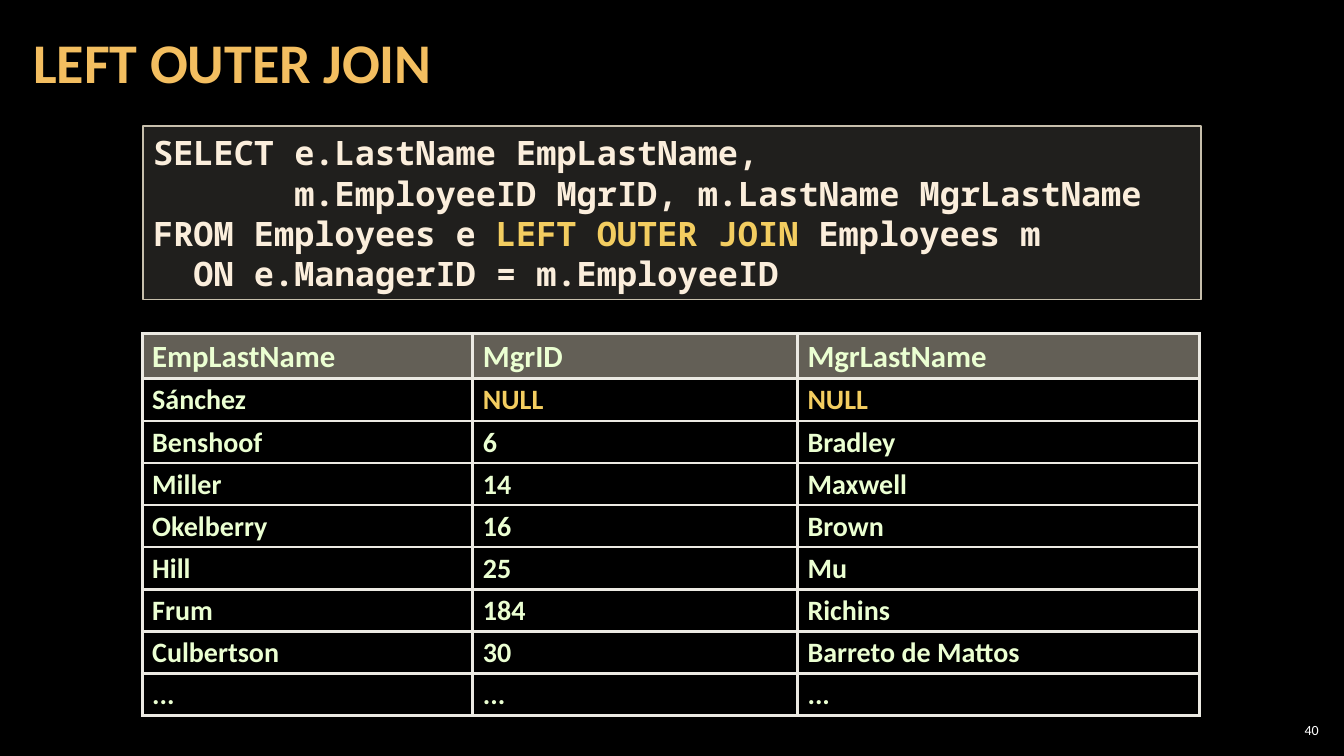
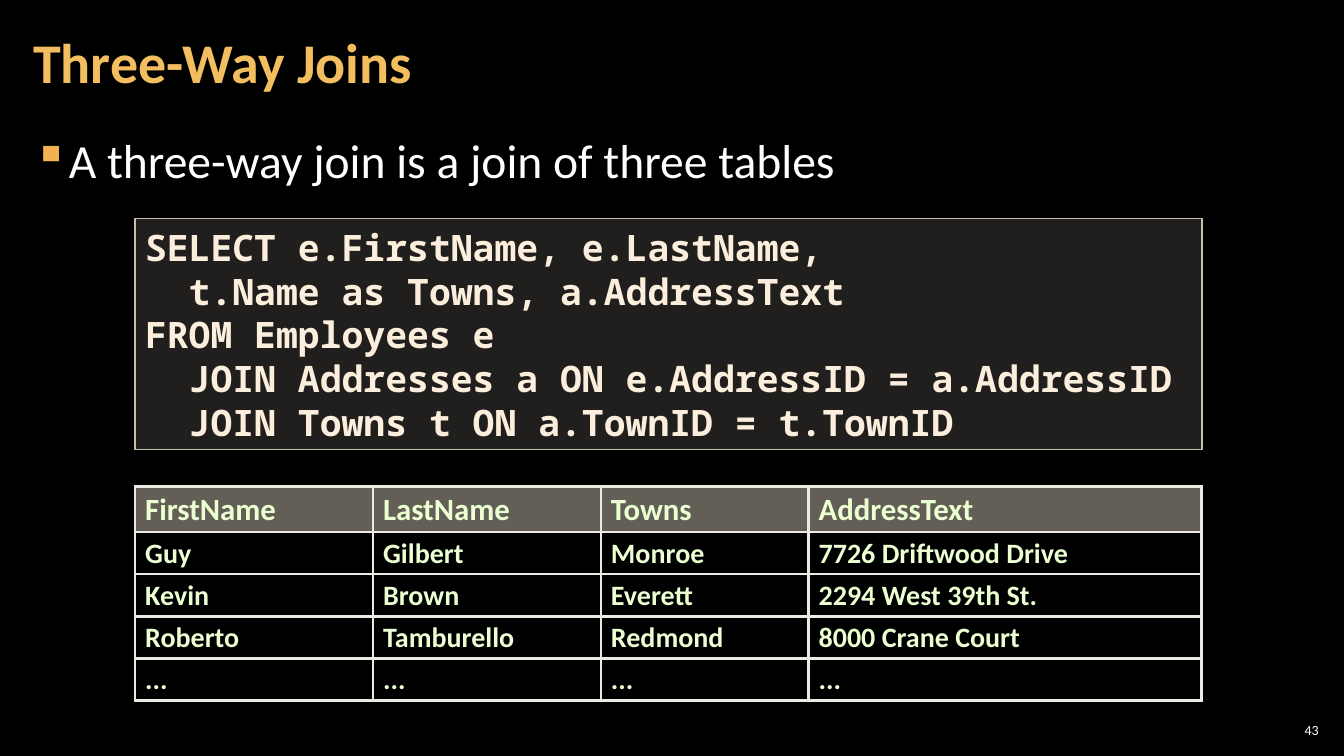
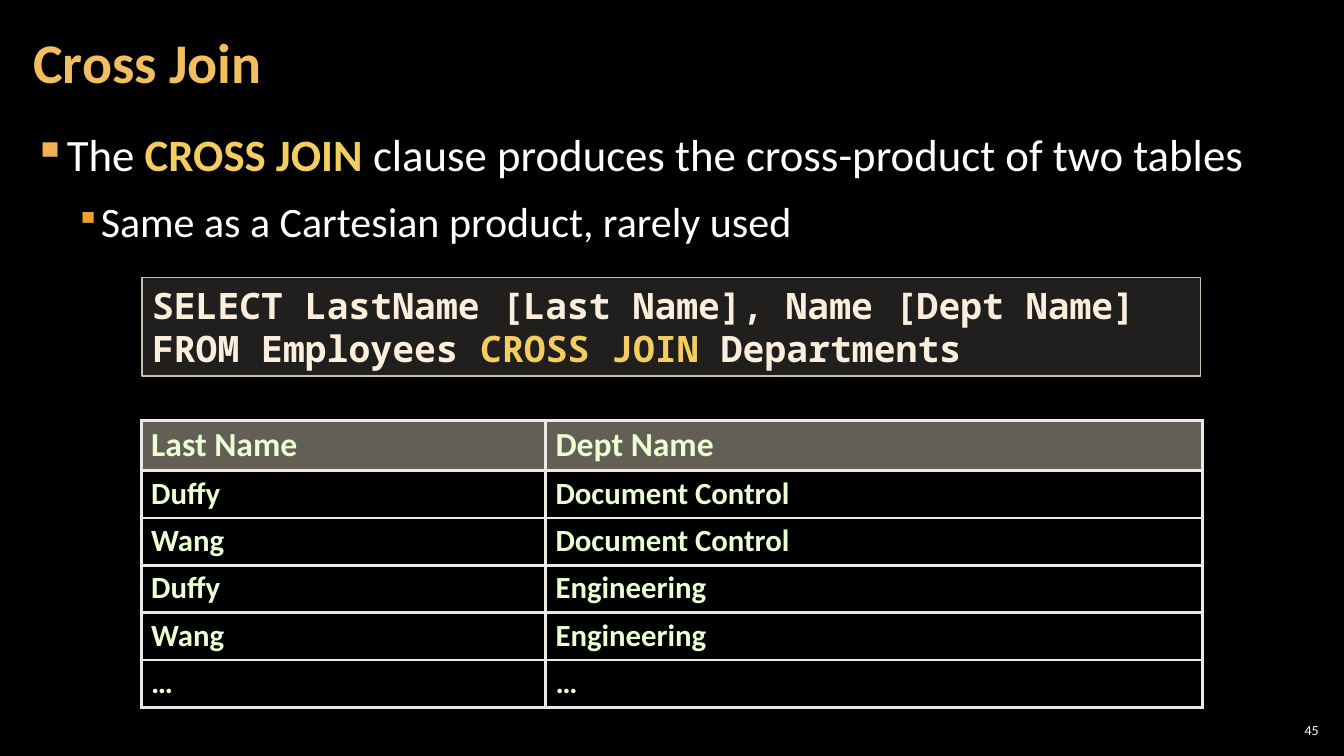
from dataclasses import dataclass

from lxml import etree
from pptx import Presentation
from pptx import util as u
from pptx.dml.color import RGBColor
from pptx.enum import shapes, text
from pptx.oxml.ns import qn

PX = 9144  # 100 px to the inch
FONT, MONO = "Calibri", "Noto Sans Mono"
HUES = {
    "back": "000000",
    "title": "F3BE60",
    "body": "FFFFFF",
    "mark": "F3CD60",
    "code": "FBEEDC",
    "panel": "D9D5C7",
    "edge": "C7BFAC",
    "cell": "EBFFD2",
    "rule": "ECEAE3",
}
# Bullet colour, bullet size in percent, left indent, hang
LEVELS = [("F2B254", 100, 33, 33), ("F0A22E", 80, 67, 25)]


@dataclass
class Style:
    size: int
    hue: str
    font: str = FONT
    bold: bool = True


@dataclass
class Bullet:
    words: str
    size: int
    level: int = 0


@dataclass
class Code:
    box: tuple[int, int, int, int]
    size: int
    lines: list[str]


@dataclass
class Grid:
    left: int
    top: int
    cols: list[int]
    head: int  # header row height
    row: int  # body row height
    size: int  # body text size, the header is 2 pt larger
    cells: list[list[str]]


@dataclass
class Page:
    title: str
    num: int
    code: Code
    grid: Grid
    items: tuple[Bullet, ...] = ()
    lead: float = 1.0  # line spacing of the bullets


# Helpers
def px(n: int) -> int:
    return u.Emu(n * PX)


def rgb(hue: str) -> RGBColor:
    return RGBColor.from_string(HUES[hue])


def sub(node, tag: str, **attrs):
    return etree.SubElement(node, qn(tag), {k: str(v) for k, v in attrs.items()})


def fade(fill, hue: str, part: int) -> None:
    """Fill with a colour that is part percent opaque."""
    fill.solid()
    fill.fore_color.rgb = rgb(hue)
    node = fill._xPr.find(qn("a:solidFill"))[0]
    sub(node, "a:alpha", val=part * 1000)


def write(para, words: str, style: Style) -> None:
    """Add runs; the parts between bars are highlighted."""
    for i, part in enumerate(words.split("|")):
        if not part:
            continue
        run = para.add_run()
        run.text = part
        font = run.font
        font.name, font.size = style.font, u.Pt(style.size)
        font.bold = style.bold or i % 2 == 1
        font.color.rgb = rgb("mark" if i % 2 else style.hue)


def paras(frame, count: int) -> list:
    return [frame.paragraphs[0]] + [frame.add_paragraph() for _ in range(count - 1)]


def add_box(slide, box: tuple[int, int, int, int], side: int, middle: bool = True):
    frame = slide.shapes.add_textbox(*map(px, box)).text_frame
    frame.word_wrap = True
    frame.margin_left = frame.margin_right = px(side)
    frame.margin_top = frame.margin_bottom = px(4)
    anchor = text.MSO_ANCHOR
    frame.vertical_anchor = anchor.MIDDLE if middle else anchor.TOP
    return frame


# Slide parts
def add_title(slide, words: str) -> None:
    para = add_box(slide, (21, 4, 1047, 121), 12).paragraphs[0]
    para.line_spacing = 0.9
    write(para, words, Style(40, "title"))


def add_num(slide, num: int) -> None:
    para = add_box(slide, (1265, 714, 47, 21), 4).paragraphs[0]
    para.alignment = text.PP_ALIGN.RIGHT
    write(para, str(num), Style(10, "body", bold=False))


def add_items(slide, items: tuple[Bullet, ...], lead: float) -> None:
    frame = add_box(slide, (21, 126, 1291, 609), 12, middle=False)
    for i, (para, item) in enumerate(zip(paras(frame, len(items)), items)):
        hue, scale, left, hang = LEVELS[item.level]
        para.level = item.level
        props = para._p.get_or_add_pPr()
        props.set("marL", str(px(left)))
        props.set("indent", str(px(-hang)))
        sub(sub(props, "a:buClr"), "a:srgbClr", val=hue)
        sub(props, "a:buSzPct", val=scale * 1000)
        sub(props, "a:buChar", char="▪")
        para.line_spacing = lead
        para.space_after = u.Pt(6)
        if i:
            para.space_before = u.Pt(6)
        write(para, item.words, Style(item.size, "body", bold=False))


def add_code(slide, code: Code) -> None:
    panel = slide.shapes.add_shape(shapes.MSO_SHAPE.RECTANGLE, *map(px, code.box))
    panel.shadow.inherit = False
    fade(panel.fill, "panel", 15)
    panel.line.color.rgb = rgb("edge")
    panel.line.width = u.Pt(1)
    frame = panel.text_frame
    frame.word_wrap = True
    frame.auto_size = text.MSO_AUTO_SIZE.SHAPE_TO_FIT_TEXT
    for para, line in zip(paras(frame, len(code.lines)), code.lines):
        para.alignment = text.PP_ALIGN.LEFT
        write(para, line, Style(code.size, "code", MONO))


def add_rules(cell) -> None:
    """Draw the four borders, which must stand before the fill."""
    props = cell._tc.get_or_add_tcPr()
    for i, side in enumerate("LRTB"):
        line = sub(props, f"a:ln{side}", w=u.Pt(2.25))
        sub(sub(line, "a:solidFill"), "a:srgbClr", val=HUES["rule"])
        props.insert(i, line)


def add_grid(slide, grid: Grid) -> None:
    count = len(grid.cells)
    high = grid.head + grid.row * (count - 1)
    place = map(px, (grid.left, grid.top, sum(grid.cols), high))
    table = slide.shapes.add_table(count, len(grid.cols), *place).table
    table.first_row = table.horz_banding = False
    for col, wide in zip(table.columns, grid.cols):
        col.width = px(wide)
    for r, names in enumerate(grid.cells):
        table.rows[r].height = px(grid.row if r else grid.head)
        for c, words in enumerate(names):
            cell = table.cell(r, c)
            if r:
                cell.fill.background()
            else:
                fade(cell.fill, "edge", 50)
            add_rules(cell)
            para = cell.text_frame.paragraphs[0]
            para.line_spacing = 0.95
            write(para, words, Style(grid.size + (0 if r else 2), "cell"))


# Content
PAGES = [
    Page(
        "LEFT OUTER JOIN",
        40,
        Code((142, 125, 1049, 172), 24, [
            "SELECT e.LastName EmpLastName,",
            "       m.EmployeeID MgrID, m.LastName MgrLastName",
            "FROM Employees e |LEFT OUTER JOIN |Employees m",
            "  ON e.ManagerID = m.EmployeeID",
        ]),
        Grid(141, 331, [328, 322, 399], 38, 38, 20, [
            ["EmpLastName", "MgrID", "MgrLastName"],
            ["Sánchez", "|NULL", "|NULL"],
            ["Benshoof", "6", "Bradley"],
            ["Miller", "14", "Maxwell"],
            ["Okelberry", "16", "Brown"],
            ["Hill", "25", "Mu"],
            ["Frum", "184", "Richins"],
            ["Culbertson", "30", "Barreto de Mattos"],
            ["..."] * 3,
        ]),
    ),
    Page(
        "Three-Way Joins",
        43,
        Code((134, 217, 1058, 229), 26, [
            "SELECT e.FirstName, e.LastName,",
            "  t.Name as Towns, a.AddressText",
            "FROM Employees e",
            "  JOIN Addresses a ON e.AddressID = a.AddressID",
            "  JOIN Towns t ON a.TownID = t.TownID",
        ]),
        Grid(134, 483, [236, 226, 206, 390], 38, 38, 20, [
            ["FirstName", "LastName", "Towns", "AddressText"],
            ["Guy", "Gilbert", "Monroe", "7726 Driftwood Drive"],
            ["Kevin", "Brown", "Everett", "2294 West 39th St."],
            ["Roberto", "Tamburello", "Redmond", "8000 Crane Court"],
            ["..."] * 4,
        ]),
        (Bullet("A three-way join is a join of three tables", 34),),
    ),
    Page(
        "Cross Join",
        45,
        Code((141, 275, 1050, 98), 26, [
            "SELECT LastName [Last Name], Name [Dept Name]",
            "FROM Employees |CROSS JOIN |Departments",
        ]),
        Grid(140, 417, [401, 652], 50, 47, 22, [
            ["Last Name", "Dept Name"],
            ["Duffy", "Document Control"],
            ["Wang", "Document Control"],
            ["Duffy", "Engineering"],
            ["Wang", "Engineering"],
            ["…"] * 2,
        ]),
        (
            Bullet("The |CROSS JOIN |clause produces the cross-product of two tables", 32),
            Bullet("Same as a Cartesian product, rarely used", 30, 1),
        ),
        0.95,
    ),
]


def main() -> None:
    prs = Presentation()
    prs.slide_width, prs.slide_height = px(1333), px(750)
    fill = prs.slide_master.background.fill
    fill.solid()
    fill.fore_color.rgb = rgb("back")
    for page in PAGES:
        slide = prs.slides.add_slide(prs.slide_layouts[6])
        if page.items:
            add_items(slide, page.items, page.lead)
        add_title(slide, page.title)
        add_code(slide, page.code)
        add_grid(slide, page.grid)
        add_num(slide, page.num)
    prs.save("out.pptx")


if __name__ == "__main__":
    main()
